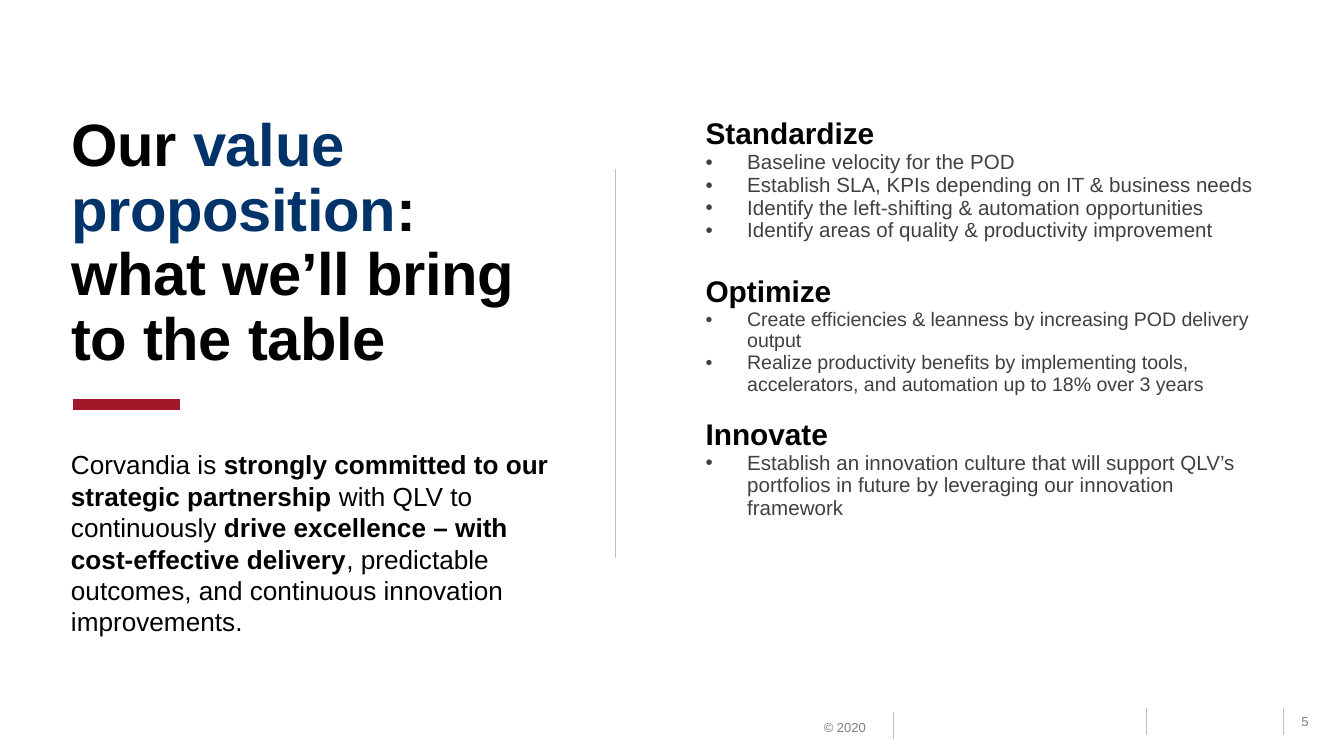
from dataclasses import dataclass
from lxml.etree import SubElement
from pptx import Presentation
from pptx.dml.color import RGBColor
from pptx.enum.shapes import MSO_CONNECTOR
from pptx.enum.text import MSO_ANCHOR, MSO_AUTO_SIZE, PP_ALIGN
from pptx.oxml.ns import qn
from pptx.util import Inches, Pt


@dataclass(frozen=True)
class Theme:
    face: str = "Arial"
    black: str = "000000"
    navy: str = "00336A"
    dark: str = "404040"
    gray: str = "808080"
    rule: str = "BFBFBF"
    red: str = "A2172A"
    title: float = 32
    head: float = 16
    body: float = 14
    item: float = 11
    dense: float = 10.5
    foot: float = 7


class Page:
    def __init__(self, slide, theme):
        self.slide = slide
        self.theme = theme

    def style(self, run, size, color, bold=False):
        font = run.font
        font.name = self.theme.face
        font.size = Pt(size)
        font.bold = bold
        font.color.rgb = RGBColor.from_string(color)

    def place(self, shape, box):
        shape.left, shape.top, shape.width, shape.height = map(Inches, box)

    def title(self, box, parts):
        shape = self.slide.shapes.title
        self.place(shape, box)
        frame = shape.text_frame
        frame.auto_size = MSO_AUTO_SIZE.NONE
        frame.vertical_anchor = MSO_ANCHOR.TOP
        frame.margin_top = Inches(0.04)
        para = frame.paragraphs[0]
        para.alignment = PP_ALIGN.LEFT
        para.line_spacing = Pt(self.theme.title * 1.08)
        for text, color in parts:
            run = para.add_run()
            run.text = text
            self.style(run, self.theme.title, color, True)
            run._r.get_or_add_rPr().set("spc", "-20")

    def text(self, box):
        frame = self.slide.shapes.add_textbox(*map(Inches, box)).text_frame
        frame.word_wrap = True
        return frame

    def body(self, box, parts):
        para = self.text(box).paragraphs[0]
        para.line_spacing = Pt(self.theme.body * 1.2)
        for text, bold in parts:
            run = para.add_run()
            run.text = text
            self.style(run, self.theme.body, self.theme.black, bold)

    def foot(self, box, text, align):
        frame = self.text(box)
        frame.vertical_anchor = MSO_ANCHOR.MIDDLE
        frame.margin_left = 0 if align == PP_ALIGN.RIGHT else Inches(0.1)
        para = frame.paragraphs[0]
        para.text = text
        para.alignment = align
        self.style(para.runs[0], self.theme.foot, self.theme.gray)

    def line(self, start, end, color, width):
        line = self.slide.shapes.add_connector(
            MSO_CONNECTOR.STRAIGHT, *map(Inches, start + end))
        line.line.color.rgb = RGBColor.from_string(color)
        line.line.width = Pt(width)
        SubElement(line._element.spPr, qn("a:effectLst"))

    def bullet(self, para):
        props = para._p.get_or_add_pPr()
        props.set("marL", str(Inches(0.31)))
        props.set("indent", str(-Inches(0.31)))
        SubElement(props, qn("a:buFont")).set("typeface", self.theme.face)
        SubElement(props, qn("a:buChar")).set("char", "•")

    def table(self, box, groups):
        table = self.slide.shapes.add_table(1, 1, *map(Inches, box)).table
        table.first_row = False
        table.horz_banding = False
        cell = table.cell(0, 0)
        cell.fill.background()
        cell.margin_top = Inches(0.3)
        cell.vertical_anchor = MSO_ANCHOR.TOP
        frame = cell.text_frame
        rows = []
        for head, gap, size, items in groups:
            rows.append((head, gap, self.theme.head, True))
            rows += [(item, 0, size, False) for item in items]
        frame.text = "\n".join(row[0] for row in rows)
        for para, (_, gap, size, head) in zip(frame.paragraphs, rows):
            para.line_spacing = Pt(size * 1.105)
            para.space_before = Pt(gap)
            color = self.theme.black if head else self.theme.dark
            self.style(para.runs[0], size, color, head)
            if not head:
                self.bullet(para)


def main():
    deck = Presentation()
    deck.slide_width = Inches(10)
    deck.slide_height = deck.slide_width * 9 // 16
    theme = Theme()
    page = Page(deck.slides.add_slide(deck.slide_layouts[5]), theme)

    for x, y in ((8.53, 5.27), (6.65, 5.3), (9.55, 5.27)):
        page.line((x, y), (x, y + 0.2), theme.rule, 0.5)
    page.title((0.43, 0.81, 3.76, 2.31), [
        ("Our ", theme.black),
        ("value proposition", theme.navy),
        (": what we’ll bring to the table", theme.black),
    ])
    page.foot((6.02, 5.3, 0.52, 0.22), "© 2020", PP_ALIGN.RIGHT)
    page.foot((9.55, 5.26, 0.32, 0.22), "5", PP_ALIGN.CENTER)
    page.table((5.15, 0.58, 4.31, 3.39), [
        ("Standardize", 0, theme.item, [
            "Baseline velocity for the POD",
            "Establish SLA, KPIs depending on IT & business needs",
            "Identify the left-shifting & automation opportunities",
            "Identify areas of quality & productivity improvement",
        ]),
        ("Optimize", 18, theme.dense, [
            "Create efficiencies & leanness by increasing POD delivery output",
            "Realize productivity benefits by implementing tools, "
            "accelerators, and automation up to 18% over 3 years",
        ]),
        ("Innovate", 12.5, theme.item, [
            "Establish an innovation culture that will support QLV’s "
            "portfolios in future by leveraging our innovation framework",
        ]),
    ])
    page.body((0.43, 3.29, 3.76, 1.51), [
        ("Corvandia is ", False),
        ("strongly committed to our strategic partnership", True),
        (" with QLV to continuously ", False),
        ("drive excellence – with cost-effective delivery", True),
        (", predictable outcomes, and continuous innovation improvements.", False),
    ])
    page.line((0.54, 3.01), (1.34, 3.01), theme.red, 6)
    page.line((4.58, 1.26), (4.58, 4.15), theme.rule, 0.5)
    deck.save("out.pptx")


if __name__ == "__main__":
    main()
